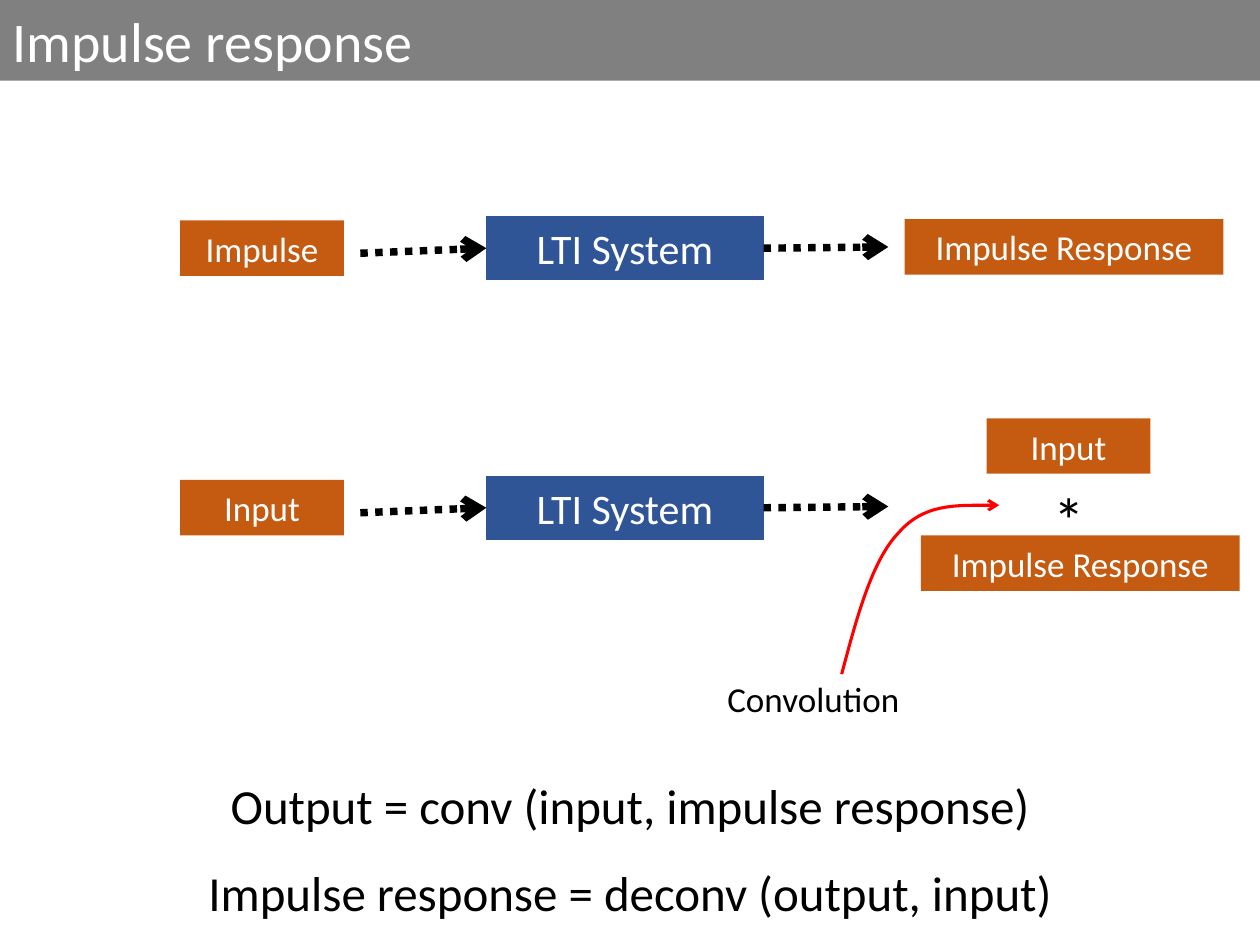
from lxml import etree
from pptx import Presentation
from pptx.dml.color import RGBColor
from pptx.enum.dml import MSO_LINE
from pptx.enum.shapes import MSO_CONNECTOR, MSO_SHAPE
from pptx.enum.text import MSO_ANCHOR, MSO_AUTO_SIZE, PP_ALIGN
from pptx.oxml.ns import qn
from pptx.util import Inches, Pt

RECTANGLE = MSO_SHAPE.RECTANGLE
STRAIGHT = MSO_CONNECTOR.STRAIGHT
DOTTED = MSO_LINE.ROUND_DOT
MIDDLE = MSO_ANCHOR.MIDDLE
LEFT, CENTER = PP_ALIGN.LEFT, PP_ALIGN.CENTER

WIDTH, HEIGHT = Inches(10), Inches(7.5)
COLUMN, ROW = WIDTH / 100, HEIGHT / 75
BLUE, ORANGE, GRAY = "2F5597", "C55A11", "808080"
WHITE, BLACK, RED = "FFFFFF", "000000", "FF0000"
SIGNAL_HEIGHT = 4.4
LEFT_SIDE, RIGHT_SIDE = 1, 3


def color(value):
    return RGBColor.from_string(value)


def place(x, y):
    return round(x * COLUMN), round(y * ROW)


def write(shape, text, size, text_color, alignment=CENTER):
    frame = shape.text_frame
    frame.word_wrap = True
    frame.auto_size = MSO_AUTO_SIZE.NONE
    frame.vertical_anchor = MIDDLE
    frame.margin_left = frame.margin_right = Inches(0.1)
    frame.margin_top = frame.margin_bottom = Inches(0.05)
    frame.text = text
    paragraph = frame.paragraphs[0]
    paragraph.alignment = alignment
    font = paragraph.runs[0].font
    font.name, font.size = "Calibri", Pt(size)
    font.color.rgb = color(text_color)


def add_block(slide, text, left, top, width, height, fill, size):
    shape = slide.shapes.add_shape(RECTANGLE, *place(left, top), *place(width, height))
    shape.shadow.inherit = False
    shape.fill.solid()
    shape.fill.fore_color.rgb = color(fill)
    shape.line.fill.background()
    write(shape, text, size, WHITE)
    return shape


def add_label(slide, text, left, top, width, height, size, alignment=CENTER):
    label = slide.shapes.add_textbox(*place(left, top), *place(width, height))
    write(label, text, size, BLACK, alignment)


def style_arrow(arrow, line_color, width):
    arrow.line.color.rgb = color(line_color)
    arrow.line.width = Pt(width)
    line = arrow.line._get_or_add_ln()
    etree.SubElement(line, qn("a:tailEnd"), type="arrow")


def add_dotted_arrow(slide, start, end):
    arrow = slide.shapes.add_connector(STRAIGHT, *place(*start), *place(*end))
    arrow.line.dash_style = DOTTED
    style_arrow(arrow, BLACK, 4.25)
    etree.SubElement(arrow._element.spPr, qn("a:effectLst"))
    return arrow


def add_curved_arrow(slide, start, controls):
    builder = slide.shapes.build_freeform(*place(*start))
    builder.add_line_segments([place(*point) for point in controls], close=False)
    arrow = builder.convert_to_shape()
    arrow.shadow.inherit = False
    arrow.fill.background()
    style_arrow(arrow, RED, 1.75)
    segments = list(arrow._element.iter(qn("a:lnTo")))
    outline = segments[0].getparent()
    for first in range(0, len(segments), 3):
        curve = etree.SubElement(outline, qn("a:cubicBezTo"))
        for segment in segments[first:first + 3]:
            curve.append(segment[0])
            outline.remove(segment)


def add_title(slide, text, left, top, width, height):
    title = slide.shapes.title
    title.left, title.top = place(left, top)
    title.width, title.height = place(width, height)
    title.fill.solid()
    title.fill.fore_color.rgb = color(GRAY)
    write(title, text, 32, WHITE, LEFT)


def add_system(slide, source, left, top):
    system = add_block(slide, "LTI System", left + 24.3, top, 22, 5, BLUE, 24)
    system.line.color.rgb = color(BLUE)
    system.line.width = Pt(0.75)
    add_block(slide, source, left, top + 0.3, 13, SIGNAL_HEIGHT, ORANGE, 20)
    middle = top + 2.5
    incoming = add_dotted_arrow(slide, (left + 14.3, middle + 0.4), (left + 24.3, middle))
    incoming.end_connect(system, LEFT_SIDE)
    outgoing = add_dotted_arrow(slide, (left + 46.3, middle), (left + 56.2, middle - 0.1))
    outgoing.begin_connect(system, RIGHT_SIDE)


def add_convolution(slide, left, top):
    add_block(slide, "Impulse Response", left + 17.5, top + 9.3, 25.3, SIGNAL_HEIGHT, ORANGE, 20)
    add_block(slide, "Input", left + 22.7, top, 13, SIGNAL_HEIGHT, ORANGE, 20)
    add_label(slide, "Convolution", left, top + 20, 17.9, SIGNAL_HEIGHT, 20)
    controls = [(12.4, 15.8), (13.6, 11.3), (15.7, 9.1), (17.7, 6.8), (20.7, 6.9), (23.7, 6.9)]
    add_curved_arrow(slide, (left + 11.2, top + 20.3),
                     [(left + x, top + y) for x, y in controls])
    add_label(slide, "*", left + 27, top + 4.4, 5.9, 7.1, 36, LEFT)


def add_formulas(slide, formulas, left, top, width, pitch):
    for index, formula in enumerate(formulas):
        add_label(slide, formula, left, top + index * pitch, width, 5.7, 28)


def main():
    presentation = Presentation()
    presentation.slide_width, presentation.slide_height = WIDTH, HEIGHT
    slide = presentation.slides.add_slide(presentation.slide_layouts[5])
    add_title(slide, "Impulse response", 0, 0, 100, 6.4)
    for source, top in (("Impulse", 17.2), ("Input", 37.8)):
        add_system(slide, source, 14.3, top)
    add_block(slide, "Impulse Response", 71.8, 17.4, 25.3, SIGNAL_HEIGHT, ORANGE, 20)
    add_convolution(slide, 55.6, 33.2)
    formulas = ("Output = conv (input, impulse response)",
                "Impulse response = deconv (output, input)")
    add_formulas(slide, formulas, 0, 61, 100, 6.9)
    presentation.save("out.pptx")


if __name__ == "__main__":
    main()
